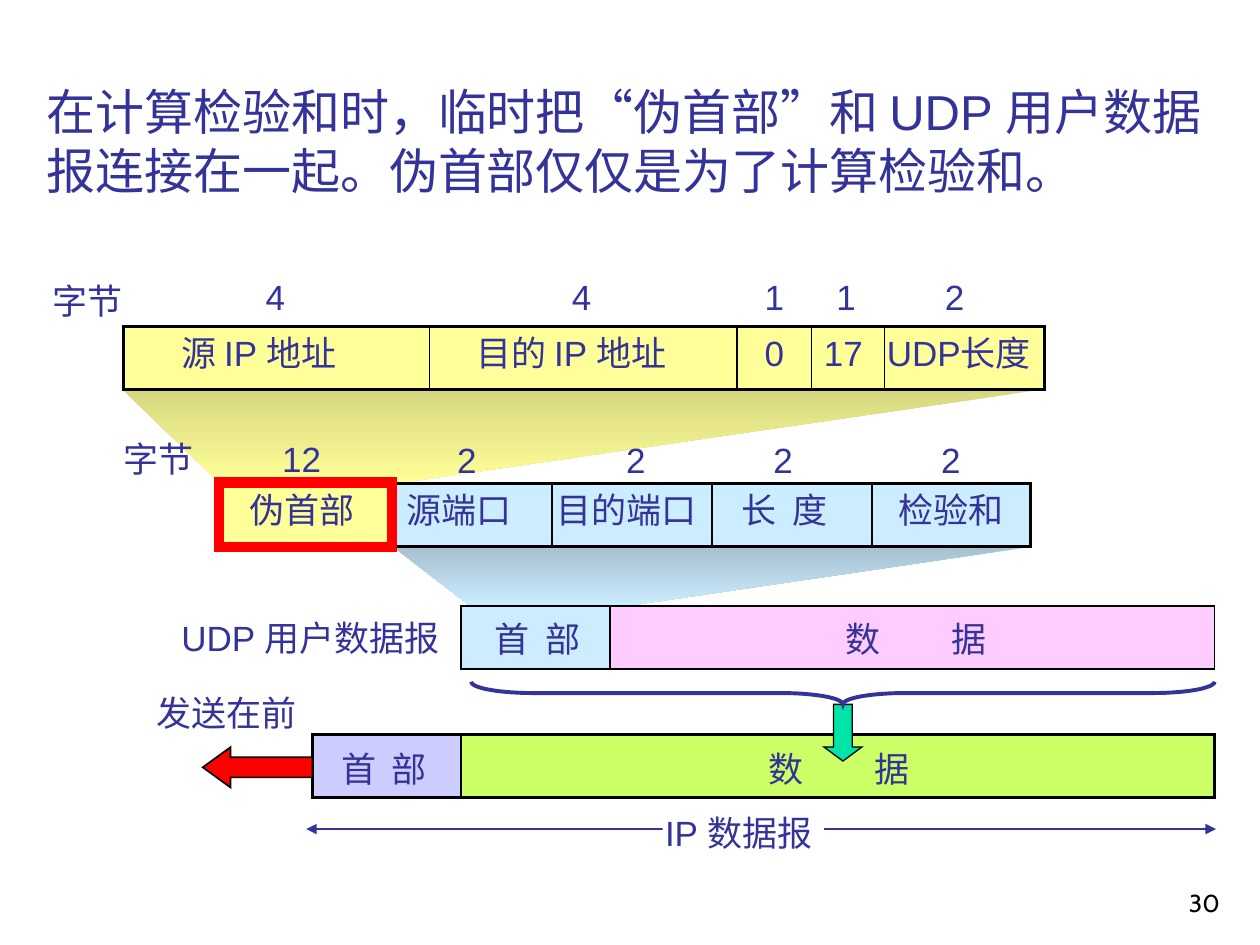
import pptx
import pptx.util
import pptx.oxml
import pptx.oxml.ns
import pptx.dml.color
import pptx.enum.shapes
import pptx.enum.text
import lxml.etree

Inches = pptx.util.Inches
Pt = pptx.util.Pt
RGBColor = pptx.dml.color.RGBColor
MSO_SHAPE = pptx.enum.shapes.MSO_SHAPE
PP_ALIGN = pptx.enum.text.PP_ALIGN
MSO_ANCHOR = pptx.enum.text.MSO_ANCHOR
MSO_AUTO_SIZE = pptx.enum.text.MSO_AUTO_SIZE
qn = pptx.oxml.ns.qn

INK = RGBColor(0x33, 0x33, 0x99)
BLACK = RGBColor(0, 0, 0)
WHITE = RGBColor(0xFF, 0xFF, 0xFF)
RED = RGBColor(0xFF, 0, 0)
YELLOW = RGBColor(0xFF, 0xFF, 0x99)
DARK_YELLOW = RGBColor(0xD7, 0xD7, 0x81)
SKY = RGBColor(0xCC, 0xEC, 0xFF)
DARK_SKY = RGBColor(0xA6, 0xC0, 0xD0)
LILAC = RGBColor(0xCC, 0xCC, 0xFF)
LIME = RGBColor(0xCC, 0xFF, 0x66)
PINK = RGBColor(0xFF, 0xCC, 0xFF)
GREEN = RGBColor(0, 0xE4, 0xA8)

LABEL_FRAME = {"word_wrap": True, "auto_size": MSO_AUTO_SIZE.NONE, "margin_right": 0}
LABEL_FONT = {"name": "Arial", "size": Pt(20)}
TITLE_FRAME = {"word_wrap": True, "auto_size": MSO_AUTO_SIZE.NONE,
               "vertical_anchor": MSO_ANCHOR.TOP}
NUMBER_FRAME = {"word_wrap": True, "vertical_anchor": MSO_ANCHOR.BOTTOM}
NUMBER_FONT = {"name": "Cabin", "size": Pt(14)}

ROW_HEIGHT = 0.5
PSEUDO_TOP, HEADER_TOP, UDP_TOP, IP_TOP = 2.59, 3.84, 4.81, 5.83

deck = pptx.Presentation()
deck.slide_width, deck.slide_height = Inches(10), Inches(7.5)
slide = deck.slides.add_slide(deck.slide_layouts[5])
shapes = slide.shapes


def add_block(kind, left, top, width, height, fill, line, weight):
    block = shapes.add_shape(kind, Inches(left), Inches(top), Inches(width), Inches(height))
    block.shadow.inherit = False
    if fill is None:
        block.fill.background()
    else:
        block.fill.solid()
        block.fill.fore_color.rgb = fill
    if line is None:
        block.line.fill.background()
    else:
        block.line.color.rgb = line
        block.line.width = Pt(weight)
        lxml.etree.SubElement(block.line._get_or_add_ln(), qn("a:miter"), lim="800000")
    return block


def add_label(text, left, top, width, tab=None):
    label = shapes.add_textbox(Inches(left), Inches(top), Inches(width), Inches(0.44))
    for name, value in LABEL_FRAME.items():
        setattr(label.text_frame, name, value)
    paragraph = label.text_frame.paragraphs[0]
    paragraph.text = text
    if tab:
        stops = lxml.etree.SubElement(paragraph._p.get_or_add_pPr(), qn("a:tabLst"))
        lxml.etree.SubElement(stops, qn("a:tab"), pos=str(Inches(tab)), algn="l")
    font = paragraph.runs[0].font
    for name, value in LABEL_FONT.items():
        setattr(font, name, value)
    font.color.rgb = INK


title = shapes.title
title.left, title.top, title.width, title.height = (
    Inches(0.27), Inches(0.6), Inches(9.49), Inches(1.04))
for name, value in TITLE_FRAME.items():
    setattr(title.text_frame, name, value)
heading = title.text_frame.paragraphs[0]
heading.alignment = PP_ALIGN.LEFT
for text, typeface in [
    ("在计算检验和时，临时把“伪首部”和 UDP 用户数据报连接在一起。", "Arial"),
    ("伪首部仅仅是为了计算检验和。", "Cabin"),
]:
    run = heading.add_run()
    run.text = text
    for name, value in {"name": typeface, "size": Pt(28)}.items():
        setattr(run.font, name, value)
    run.font.color.rgb = INK

for corners, dark, light in [
    ([(0.97, 3.09), (8.28, 3.09), (3.12, 3.84), (1.75, 3.84)], DARK_YELLOW, YELLOW),
    ([(3.12, 4.34), (8.18, 4.34), (4.97, 4.81), (3.72, 4.8)], DARK_SKY, SKY),
]:
    points = [(Inches(x), Inches(y)) for x, y in corners]
    outline = shapes.build_freeform(*points[0])
    outline.add_line_segments(points[1:], close=True)
    funnel = outline.convert_to_shape()
    funnel.shadow.inherit = False
    funnel.line.fill.background()
    funnel.fill.gradient()
    funnel.fill.gradient_angle = 270
    for stop, color in zip(funnel.fill.gradient_stops, (dark, light)):
        stop.color.rgb = color

for left, top, width, fill, weight in [
    (0.98, PSEUDO_TOP, 7.31, YELLOW, 1.5),
    (3.11, HEADER_TOP, 5.07, SKY, 1.5),
    (3.66, UDP_TOP, 1.18, SKY, 1),
    (4.84, UDP_TOP, 4.8, PINK, 1),
    (3.66, IP_TOP, 5.98, LIME, 1.5),
    (2.48, IP_TOP, 1.18, LILAC, 1.5),
]:
    add_block(MSO_SHAPE.RECTANGLE, left, top, width, ROW_HEIGHT, fill, BLACK, weight)

add_block(MSO_SHAPE.RECTANGLE, 1.75, HEADER_TOP, 1.37, ROW_HEIGHT, YELLOW, None, 0)
add_block(MSO_SHAPE.RECTANGLE, 1.74, 3.83, 1.37, 0.51, None, RED, 6)

send_arrow = add_block(MSO_SHAPE.LEFT_ARROW, 1.61, 5.93, 0.87, 0.32, RED, BLACK, 1)
send_arrow.adjustments[1] = 0.69
wrap_arrow = add_block(MSO_SHAPE.DOWN_ARROW, 6.54, 5.59, 0.3, 0.45, GREEN, BLACK, 0.75)
wrap_arrow.adjustments[1] = 0.37
brace = add_block(MSO_SHAPE.LEFT_BRACE, 6.6, 2.55, 0.18, 5.9, None, INK, 2.25)
brace.rotation = 270
brace.adjustments[0] = 2.72

rules = [(x, PSEUDO_TOP, x, PSEUDO_TOP + ROW_HEIGHT, BLACK) for x in (3.41, 5.85, 6.44, 7.02)]
rules += [(x, HEADER_TOP, x, HEADER_TOP + ROW_HEIGHT, BLACK) for x in (4.38, 5.65, 6.92)]
rules.append((2.43, 6.58, 9.65, 6.58, INK))
for x1, y1, x2, y2, color in rules:
    rule = shapes.add_connector(pptx.enum.shapes.MSO_CONNECTOR.STRAIGHT,
                                Inches(x1), Inches(y1), Inches(x2), Inches(y2))
    rule.line.color.rgb = color
    rule.line.width = Pt(0.75)
    if y1 == y2:
        for end in ("a:headEnd", "a:tailEnd"):
            lxml.etree.SubElement(rule.line._get_or_add_ln(), qn(end), type="triangle")
    lxml.etree.SubElement(rule._element.spPr, qn("a:effectLst"))

add_block(MSO_SHAPE.RECTANGLE, 5.26, 6.41, 1.28, 0.32, WHITE, None, 0)

for top, labels in [
    (2.14, [("4", 2.01, 0.35), ("4", 4.44, 0.35), ("1", 5.97, 0.35),
            ("1", 6.54, 0.35), ("2", 7.4, 0.35)]),
    (2.17, [("字节", 0.32, 0.75)]),
    (2.58, [("源 IP 地址", 1.34, 1.57), ("目的 IP 地址", 3.68, 1.85), ("0", 5.97, 0.35),
            ("17", 6.44, 0.51), ("UDP长度", 6.94, 1.41)]),
    (3.42, [("字节", 0.88, 0.75), ("12", 2.14, 0.51)]),
    (3.43, [("2", x, 0.35) for x in (3.53, 4.87, 6.04, 7.37)]),
    (3.83, [("伪首部", 1.88, 1.03), ("源端口", 3.13, 1.03), ("目的端口", 4.32, 1.31),
            ("长\t度", 5.79, 0.88, 0.4), ("检验和", 7.03, 1.03)]),
    (4.84, [("UDP 用户数据报", 1.34, 2.32)]),
    (4.85, [("首\t部", 3.83, 0.88, 0.4), ("数\t据", 6.61, 1.32, 0.84)]),
    (5.44, [("发送在前", 1.14, 1.31)]),
    (5.88, [("首\t部", 2.61, 0.88, 0.4), ("数\t据", 6, 1.32, 0.84)]),
    (6.39, [("IP 数据报", 5.18, 1.44)]),
]:
    for text, left, width, *tab in labels:
        add_label(text, left, top, width, *tab)

page_number = shapes.add_textbox(Inches(7.7), Inches(6.83), Inches(2.08), Inches(0.5))
for name, value in NUMBER_FRAME.items():
    setattr(page_number.text_frame, name, value)
number_line = page_number.text_frame.paragraphs[0]
number_line.text = "30"
number_line.alignment = PP_ALIGN.RIGHT
for name, value in NUMBER_FONT.items():
    setattr(number_line.runs[0].font, name, value)
number_line.runs[0].font.color.rgb = BLACK

deck.save("out.pptx")
